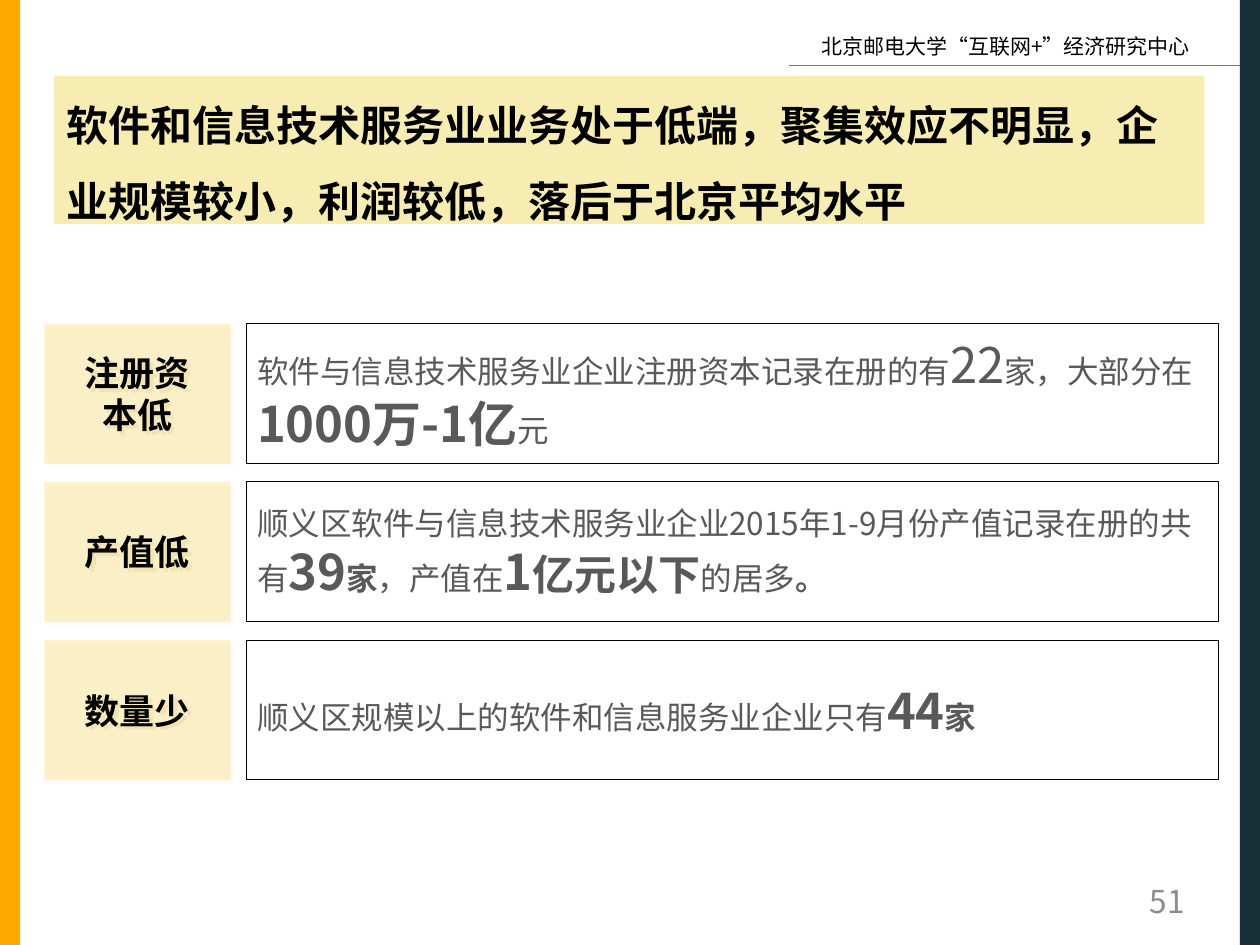
from lxml import etree
from pptx import Presentation
from pptx.dml.color import RGBColor
from pptx.enum.shapes import MSO_CONNECTOR, MSO_SHAPE
from pptx.enum.text import MSO_ANCHOR, MSO_AUTO_SIZE, PP_ALIGN
from pptx.oxml.ns import qn
from pptx.util import Inches, Pt

FONT = "Noto Sans CJK SC"
COLORS = {
    "orange": "FFAA00", "navy": "172F37", "rule": "4B7EBC", "banner": "E9CD23",
    "label": "FFC000", "shadow": "EEECE1", "black": "000000",
    "body": "595959", "number": "8C8C8C",
}


def add_run(paragraph, text, size, color, bold=False):
    run = paragraph.add_run()
    run.text = text
    run.font.size = Pt(size)
    run.font.bold = bold
    run.font.name = FONT
    run.font.color.rgb = RGBColor.from_string(COLORS[color])
    etree.SubElement(run.font._element, qn("a:ea"), typeface=FONT)


def fill_solid(shape, color, opacity=100):
    shape.fill.solid()
    shape.fill.fore_color.rgb = RGBColor.from_string(COLORS[color])
    if opacity < 100:
        tint = shape._element.spPr.find(qn("a:solidFill")).find(qn("a:srgbClr"))
        etree.SubElement(tint, qn("a:alpha"), val=str(opacity * 1000))


prs = Presentation()
prs.slide_width, prs.slide_height = Inches(10), Inches(7.5)
slide = prs.slides.add_slide(prs.slide_layouts[5])
shapes = slide.shapes

# Side bars
for left, color in ((0, "orange"), (9.84, "navy")):
    bar = shapes.add_shape(MSO_SHAPE.RECTANGLE, Inches(left), 0, Inches(0.16), prs.slide_height)
    bar.shadow.inherit = False
    fill_solid(bar, color)
    bar.line.fill.background()

# Header and its rule
header = shapes.add_textbox(Inches(6.42), Inches(0.22), Inches(3.23), Inches(0.3))
header.text_frame.word_wrap = True
add_run(header.text_frame.paragraphs[0], "北京邮电大学“互联网+”经济研究中心", 12, "black")

rule = shapes.add_connector(MSO_CONNECTOR.STRAIGHT, Inches(6.26), Inches(0.52), Inches(9.84), Inches(0.52))
rule.line.color.rgb = RGBColor.from_string(COLORS["rule"])
rule.line.width = Pt(0.75)
etree.SubElement(rule._element.spPr, qn("a:effectLst"))

# Page number
page = shapes.add_textbox(Inches(7.17), Inches(6.95), Inches(2.33), Inches(0.4))
page.text_frame.word_wrap = True
page.text_frame.vertical_anchor = MSO_ANCHOR.MIDDLE
page.text_frame.paragraphs[0].alignment = PP_ALIGN.RIGHT
add_run(page.text_frame.paragraphs[0], "51", 18, "number")

# Title banner
title = shapes.title
title.left, title.top, title.width, title.height = Inches(0.43), Inches(0.6), Inches(9.13), Inches(1.18)
fill_solid(title, "banner", 35)
title.text_frame.auto_size = MSO_AUTO_SIZE.NONE
title.text_frame.vertical_anchor = MSO_ANCHOR.MIDDLE
headline = title.text_frame.paragraphs[0]
headline.alignment = PP_ALIGN.LEFT
headline.line_spacing = 1.5
add_run(headline, "软件和信息技术服务业业务处于低端，聚集效应不明显，企业规模较小，利润较低，落后于北京平均水平", 24, "black", True)

# Findings: label lines, then runs of (text, size, bold)
findings = [
    (["注册资", "本低"], [
        ("软件与信息技术服务业企业注册资本记录在册的有", 18, False), ("22", 28, False),
        ("家，大部分在", 18, False), ("1000万-1亿", 28, True), ("元", 18, False)]),
    (["产值低"], [
        ("顺义区软件与信息技术服务业企业2015年1-9月份产值记录在册的共有", 18, False),
        ("39", 28, True), ("家", 18, True), ("，产值在", 18, False), ("1", 28, True),
        ("亿元以下", 24, True), ("的居多", 18, False), ("。", 18, True)]),
    (["数量少"], [
        ("顺义区规模以上的软件和信息服务业企业只有", 18, False), ("44", 28, True), ("家", 18, True)]),
]
ROW_TOP, ROW_STEP, ROW_HEIGHT = 2.57, 1.255, 1.11

for row, (label_lines, detail_runs) in enumerate(findings):
    top = Inches(ROW_TOP + row * ROW_STEP)
    label = shapes.add_shape(MSO_SHAPE.RECTANGLE, Inches(0.35), top, Inches(1.48), Inches(ROW_HEIGHT))
    detail = shapes.add_shape(MSO_SHAPE.RECTANGLE, Inches(1.96), top, Inches(7.71), Inches(ROW_HEIGHT))
    for box, inset in ((label, 0), (detail, 0.08)):
        box.shadow.inherit = False
        frame = box.text_frame
        frame.word_wrap = True
        frame.vertical_anchor = MSO_ANCHOR.MIDDLE
        frame.margin_left = Inches(inset)
        frame.margin_top = frame.margin_right = frame.margin_bottom = 0

    # Tinted label with an offset shadow
    fill_solid(label, "label", 20)
    label.line.fill.background()
    effects = label._element.spPr.find(qn("a:effectLst"))
    shadow = etree.SubElement(effects, qn("a:outerShdw"), dist=str(Pt(2.8)), dir=str(45 * 60000),
                              algn="ctr", rotWithShape="0")
    etree.SubElement(shadow, qn("a:srgbClr"), val=COLORS["shadow"])
    for i, line in enumerate(label_lines):
        paragraph = label.text_frame.add_paragraph() if i else label.text_frame.paragraphs[0]
        paragraph.alignment = PP_ALIGN.CENTER
        add_run(paragraph, line, 20, "black", True)

    # Outlined detail
    detail.fill.background()
    detail.line.color.rgb = RGBColor.from_string(COLORS["black"])
    detail.line.width = Pt(0.5)
    sentence = detail.text_frame.paragraphs[0]
    sentence.alignment = PP_ALIGN.LEFT
    for text, size, bold in detail_runs:
        add_run(sentence, text, size, "body", bold)

prs.save("out.pptx")
